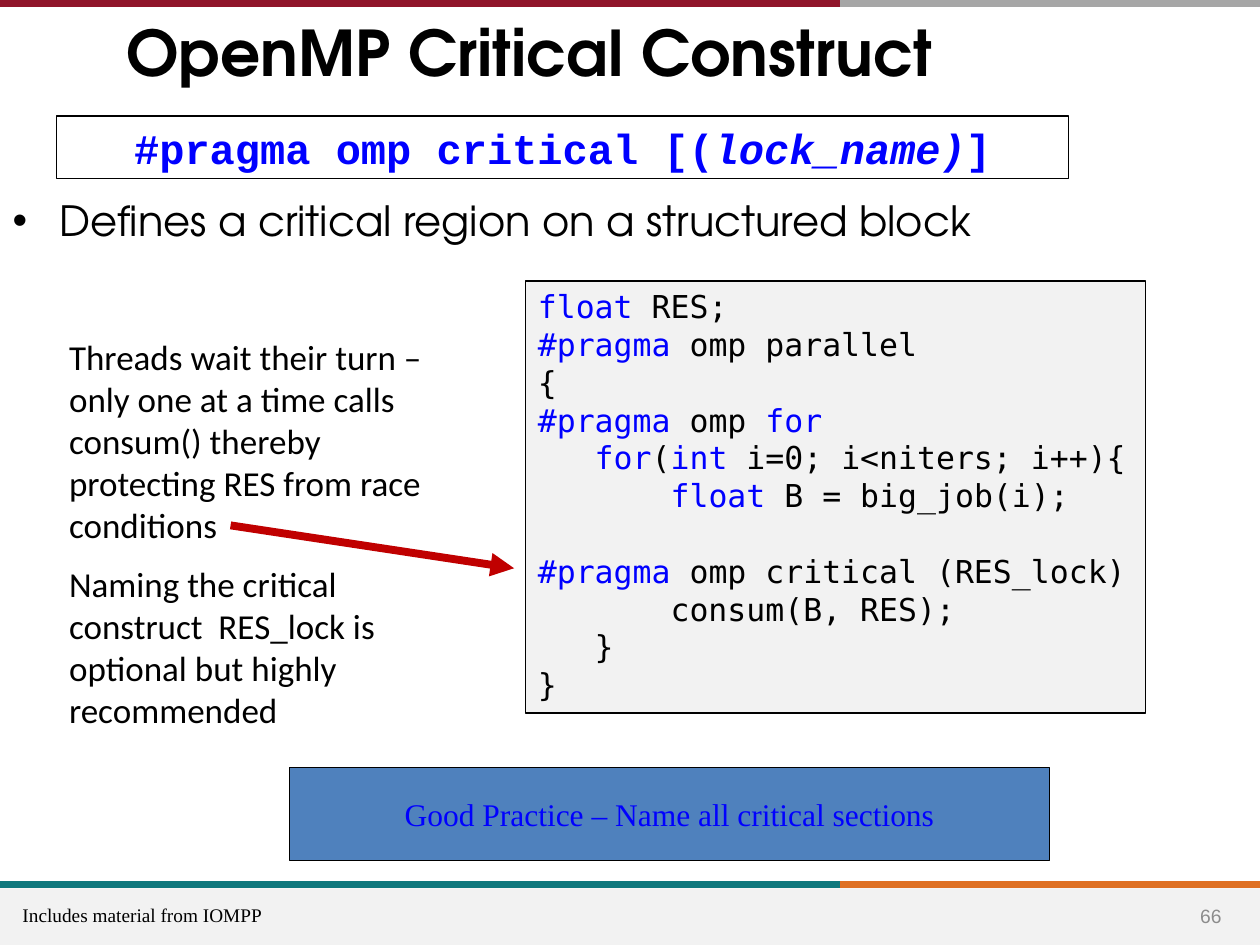
from lxml import etree
from pptx import Presentation
from pptx.dml.color import RGBColor
from pptx.enum.shapes import MSO_CONNECTOR, MSO_SHAPE
from pptx.enum.text import MSO_ANCHOR, MSO_AUTO_SIZE, PP_ALIGN
from pptx.oxml.ns import qn
from pptx.util import Inches, Pt

RECTANGLE = MSO_SHAPE.RECTANGLE
STRAIGHT = MSO_CONNECTOR.STRAIGHT
TOP, MIDDLE = MSO_ANCHOR.TOP, MSO_ANCHOR.MIDDLE
LEFT, CENTER = PP_ALIGN.LEFT, PP_ALIGN.CENTER
NO_FIT = MSO_AUTO_SIZE.NONE

COLUMNS, ROWS = 100, 75
CELL = Inches(0.1)
SPLIT = 66.7

COLORS = {
    "text": "000000", "keyword": "0000FF", "panel": "F2F2F2",
    "crimson": "90152A", "silver": "A6A6A6", "teal": "0F787D",
    "orange": "DF7023", "arrow": "C00000", "advice": "4F81BD",
    "number": "8C8C8C",
}

CODE = """`float` RES;
`#pragma` omp parallel
{
`#pragma` omp `for`
   `for`(`int` i=0; i<niters; i++){
       `float` B = big_job(i);

`#pragma` omp critical (RES_lock)
       consum(B, RES);
   }
}"""

EXPLANATIONS = [
    "Threads wait their turn – only one at a time calls consum() "
    "thereby protecting RES from race conditions",
    "Naming the critical construct  RES_lock is optional but highly recommended",
]


def color(name):
    return RGBColor.from_string(COLORS[name])


def cells(*lengths):
    return [round(length * CELL) for length in lengths]


def style(paragraph, font_name, size, ink="text", bold=False, align=LEFT):
    paragraph.alignment = align
    font = paragraph.font
    font.name, font.size, font.bold = font_name, Pt(size), bold
    font.color.rgb = color(ink)


def add_line(slide, ends, ink, width, arrow=False):
    line = slide.shapes.add_connector(STRAIGHT, *cells(*ends))
    line.line.color.rgb = color(ink)
    line.line.width = Pt(width)
    properties = line._element.spPr
    if arrow:
        head = etree.SubElement(properties.find(qn("a:ln")), qn("a:tailEnd"))
        head.set("type", "triangle")
    etree.SubElement(properties, qn("a:effectLst"))


def add_panel(slide, box, fill=None, outline=True, anchor=TOP, wrap=True):
    panel = slide.shapes.add_shape(RECTANGLE, *cells(*box))
    panel.shadow.inherit = False
    if fill:
        panel.fill.solid()
        panel.fill.fore_color.rgb = color(fill)
    else:
        panel.fill.background()
    if outline:
        panel.line.color.rgb = color("text")
        panel.line.width = Pt(0.75)
    else:
        panel.line.fill.background()
    panel.text_frame.vertical_anchor = anchor
    panel.text_frame.word_wrap = wrap
    return panel.text_frame


def add_text(slide, box, anchor=TOP, wrap=True):
    frame = slide.shapes.add_textbox(*cells(*box)).text_frame
    frame.word_wrap = wrap
    frame.vertical_anchor = anchor
    return frame


def fill_placeholder(placeholder, box, text, size, bold, anchor):
    placeholder.left, placeholder.top, placeholder.width, placeholder.height = cells(*box)
    frame = placeholder.text_frame
    frame.text = text
    frame.auto_size = NO_FIT
    frame.vertical_anchor = anchor
    paragraph = frame.paragraphs[0]
    style(paragraph, "TeX Gyre Adventor", size, bold=bold)
    paragraph.space_before = Pt(0)
    return paragraph


def add_bands(slide):
    for row, first, second in ((70.2, "teal", "orange"), (0.3, "crimson", "silver")):
        add_line(slide, (SPLIT, row, COLUMNS, row), second, 4)
        add_line(slide, (0, row, SPLIT, row), first, 4)


def add_footer(slide, box):
    left, top, width, height = box
    add_panel(slide, box, "panel", outline=False)
    number = add_text(slide, (left + width - 6.5, top + 0.2, 5.2, 4), MIDDLE)
    number.text = "66"
    style(number.paragraphs[0], "Arial", 11, "number", align=CENTER)
    credit = add_text(slide, (left + 0.8, top + 0.7, 21.1, 2.9), wrap=False)
    credit.text = "Includes material from IOMPP"
    style(credit.paragraphs[0], "Times New Roman", 11)


def add_syntax(slide, box):
    paragraph = add_panel(slide, box).paragraphs[0]
    style(paragraph, "Courier New", 24, "keyword", True, CENTER)
    for text, italic in (("#pragma omp critical [(", False), ("lock_name)", True), ("]", False)):
        run = paragraph.add_run()
        run.text = text
        run.font.italic = italic


def add_code(slide, box):
    frame = add_panel(slide, box, "panel")
    for index, code_line in enumerate(CODE.split("\n")):
        paragraph = frame.add_paragraph() if index else frame.paragraphs[0]
        style(paragraph, "DejaVu Sans Mono", 18)
        for position, token in enumerate(code_line.split("`")):
            if token:
                run = paragraph.add_run()
                run.text = token
                run.font.color.rgb = color("keyword" if position % 2 else "text")


def add_explanations(slide, box):
    frame = add_text(slide, box)
    for index, explanation in enumerate(EXPLANATIONS):
        paragraph = frame.add_paragraph() if index else frame.paragraphs[0]
        paragraph.text = explanation
        style(paragraph, "Calibri", 20)
        paragraph.space_before = Pt(10 if index else 0)
    left, top, width, height = box
    add_line(slide, (left + 13.8, top + 15.6, left + 36.3, top + 19), "arrow", 4.5, arrow=True)


def add_advice(slide, box):
    frame = add_panel(slide, box, "advice", anchor=MIDDLE, wrap=False)
    frame.text = "Good Practice – Name all critical sections"
    style(frame.paragraphs[0], "Times New Roman", 18, "keyword", align=CENTER)


def main():
    deck = Presentation()
    deck.slide_width, deck.slide_height = cells(COLUMNS, ROWS)
    slide = deck.slides.add_slide(deck.slide_layouts[1])
    title, body = slide.placeholders
    fill_placeholder(title, (9, 0.8, 82.5, 6.6), "OpenMP Critical Construct", 36, True, MIDDLE)
    definition = fill_placeholder(body, (0, 15.6, 84.3, 6.1),
                                  "Defines a critical region on a structured block", 23.8, False, TOP)
    definition.line_spacing = 0.84
    add_bands(slide)
    add_footer(slide, (0, 70.5, COLUMNS, 4.5))
    add_code(slide, (41.7, 22.3, 49.2, 34.3))
    add_explanations(slide, (4.5, 26.1, 33.3, 33))
    add_advice(slide, (23, 60.9, 60.3, 7.4))
    add_syntax(slide, (4.5, 9.2, 80.3, 5))
    deck.save("out.pptx")


if __name__ == "__main__":
    main()
